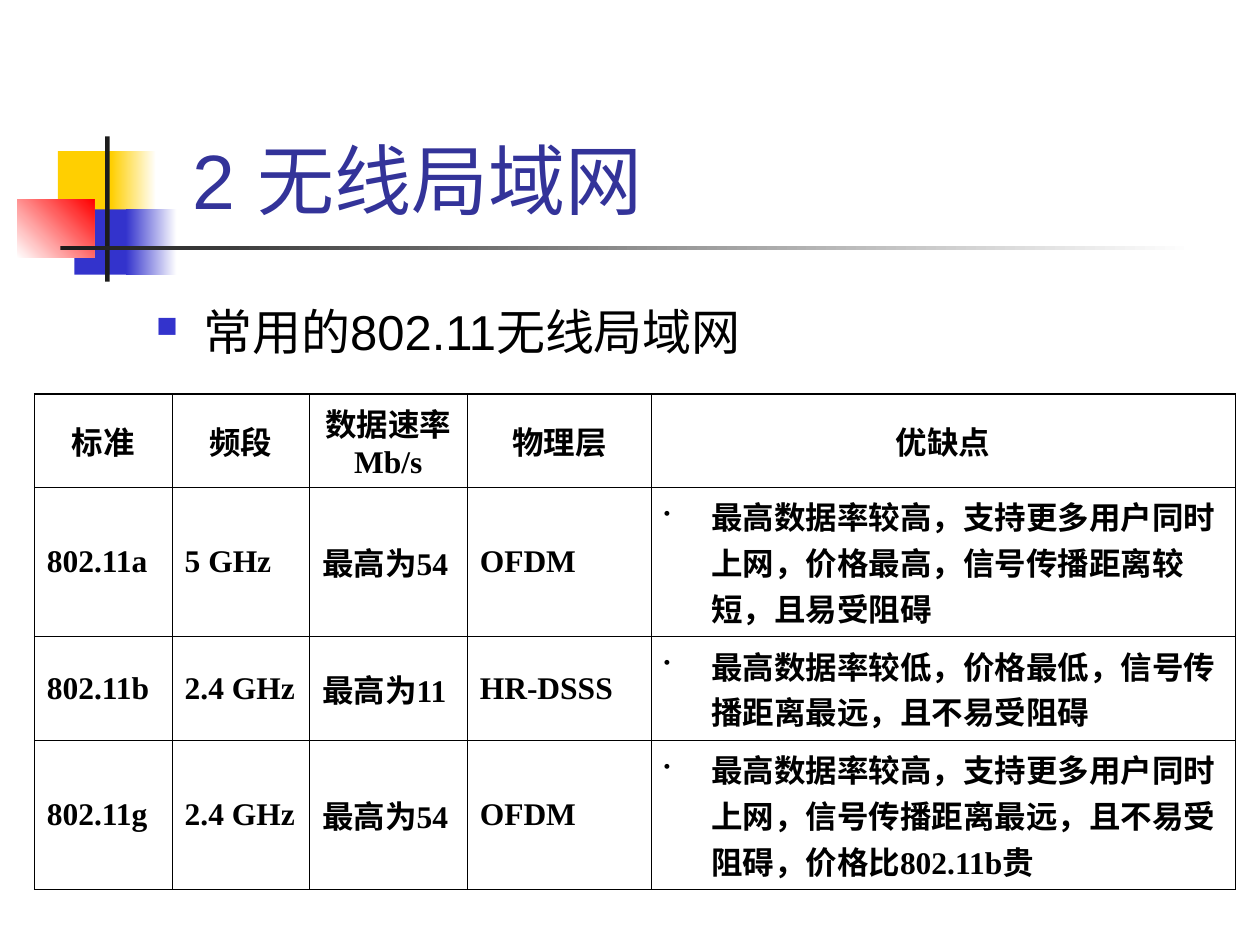
from lxml import etree
from pptx import Presentation
from pptx.dml.color import RGBColor
from pptx.enum.shapes import MSO_SHAPE
from pptx.enum.text import MSO_ANCHOR, PP_ALIGN
from pptx.oxml.ns import qn
from pptx.util import Cm, Pt

RECTANGLE = MSO_SHAPE.RECTANGLE
TOP, MIDDLE, BOTTOM = MSO_ANCHOR.TOP, MSO_ANCHOR.MIDDLE, MSO_ANCHOR.BOTTOM
LEFT, CENTER = PP_ALIGN.LEFT, PP_ALIGN.CENTER

WHITE = RGBColor(0xFF, 0xFF, 0xFF)
BLACK = RGBColor(0x00, 0x00, 0x00)
YELLOW = RGBColor(0xFF, 0xCF, 0x01)
BLUE = RGBColor(0x33, 0x33, 0xCC)
RED = RGBColor(0xFF, 0x00, 0x00)
CHARCOAL = RGBColor(0x1C, 0x1C, 0x1C)
TITLE_BLUE = RGBColor(0x33, 0x33, 0x99)

HANGING = Cm(0.95)


def style_paragraph(paragraph, size, name, color, bold=False, bullet=None, bullet_color=None):
    """Give a paragraph its font and, if wanted, a bullet at 60 % size."""
    if bullet:
        properties = paragraph._p.get_or_add_pPr()
        holder = etree.SubElement(properties, qn("a:buClr"))
        etree.SubElement(holder, qn("a:srgbClr"), val=str(bullet_color))
        etree.SubElement(properties, qn("a:buSzPct"), val="60000")
        etree.SubElement(properties, qn("a:buChar"), char=bullet)
    font = paragraph.font
    font.size = Pt(size)
    font.name = name
    font.bold = bold
    font.color.rgb = color


def hang(paragraph):
    """Indent all lines but the first and keep punctuation inside the margin."""
    properties = paragraph._p.get_or_add_pPr()
    properties.set("marL", str(HANGING))
    properties.set("indent", str(-HANGING))
    properties.set("hangingPunct", "0")


presentation = Presentation()
presentation.slide_width = Cm(25.4)
presentation.slide_height = Cm(19.05)
slide = presentation.slides.add_slide(presentation.slide_layouts[6])

# Corner ornament: left, top, width, height, start colour, end colour, angle
ornament = [
    (1.17, 3.05, 1.22, 1.32, YELLOW, None, 0),
    (2.24, 3.05, 0.91, 1.32, YELLOW, WHITE, 0),
    (1.50, 4.22, 1.17, 1.32, BLUE, None, 0),
    (2.54, 4.22, 1.02, 1.32, BLUE, WHITE, 0),
    (0.35, 4.02, 1.55, 1.18, WHITE, RED, 45),
    (2.12, 2.75, 0.09, 2.93, CHARCOAL, None, 0),
    (1.22, 4.95, 22.86, 0.09, CHARCOAL, WHITE, 0),
]
for left, top, width, height, start, end, angle in ornament:
    shape = slide.shapes.add_shape(RECTANGLE, Cm(left), Cm(top), Cm(width), Cm(height))
    shape.shadow.inherit = False
    shape.line.fill.background()
    if end is None:
        shape.fill.solid()
        shape.fill.fore_color.rgb = start
    else:
        shape.fill.gradient()
        shape.fill.gradient_angle = angle
        for stop, color in zip(shape.fill.gradient_stops, (start, end)):
            stop.color.rgb = color

# Title
title = slide.shapes.add_textbox(Cm(3.2), Cm(0.58), Cm(21.64), Cm(4.06))
frame = title.text_frame
frame.word_wrap = True
frame.vertical_anchor = BOTTOM
frame.margin_left = Cm(0.69)
frame.margin_bottom = Cm(0.1)
paragraph = frame.paragraphs[0]
paragraph.text = "2 无线局域网"
style_paragraph(paragraph, 44, "Arial", TITLE_BLUE)

# Subtitle bullet
subtitle = slide.shapes.add_textbox(Cm(2.9), Cm(5.36), Cm(21.59), Cm(2.18))
frame = subtitle.text_frame
frame.word_wrap = True
frame.vertical_anchor = TOP
frame.margin_top = Cm(0.72)
paragraph = frame.paragraphs[0]
paragraph.text = "常用的802.11无线局域网"
hang(paragraph)
style_paragraph(paragraph, 28, "Arial", BLACK, bullet="■", bullet_color=BLUE)

# Table of standards
rows = [
    ["标准", "频段", "数据速率\nMb/s", "物理层", "优缺点"],
    ["802.11a", "5 GHz", "最高为54", "OFDM",
     "最高数据率较高，支持更多用户同时上网，价格最高，信号传播距离较短，且易受阻碍"],
    ["802.11b", "2.4 GHz", "最高为11", "HR-DSSS",
     "最高数据率较低，价格最低，信号传播距离最远，且不易受阻碍"],
    ["802.11g", "2.4 GHz", "最高为54", "OFDM",
     "最高数据率较高，支持更多用户同时上网，信号传播距离最远，且不易受阻碍，价格比802.11b贵"],
]
column_widths = [2.78, 2.77, 3.18, 3.71, 11.77]
row_heights = [1.88, 3.01, 2.09, 3.01]
table = slide.shapes.add_table(
    len(rows), len(column_widths), Cm(0.69), Cm(7.94),
    Cm(sum(column_widths)), Cm(sum(row_heights))).table
table.first_row = False
table.horz_banding = False
for column, width in zip(table.columns, column_widths):
    column.width = Cm(width)
for row, height in zip(table.rows, row_heights):
    row.height = Cm(height)

last_column = len(column_widths) - 1
for row_index, texts in enumerate(rows):
    is_header = row_index == 0
    borders = {
        "a:lnL": 0.34,
        "a:lnR": 0.34,
        "a:lnT": 0.96 if is_header else 0.34,
        "a:lnB": 0.34,
    }
    for column_index, text in enumerate(texts):
        cell = table.cell(row_index, column_index)
        cell.text = text
        cell.vertical_anchor = MIDDLE
        has_bullet = column_index == last_column and not is_header
        for paragraph in cell.text_frame.paragraphs:
            paragraph.alignment = CENTER if is_header else LEFT
            hang(paragraph)
            style_paragraph(paragraph, 18, "Times New Roman", BLACK, bold=True,
                            bullet="•" if has_bullet else None, bullet_color=BLACK)
        # Borders go before the fill
        cell_properties = cell._tc.get_or_add_tcPr()
        for tag, width in borders.items():
            border = etree.SubElement(cell_properties, qn(tag), w=str(Pt(width)))
            solid = etree.SubElement(border, qn("a:solidFill"))
            etree.SubElement(solid, qn("a:srgbClr"), val=str(BLACK))
        cell.fill.background()

presentation.save("out.pptx")
